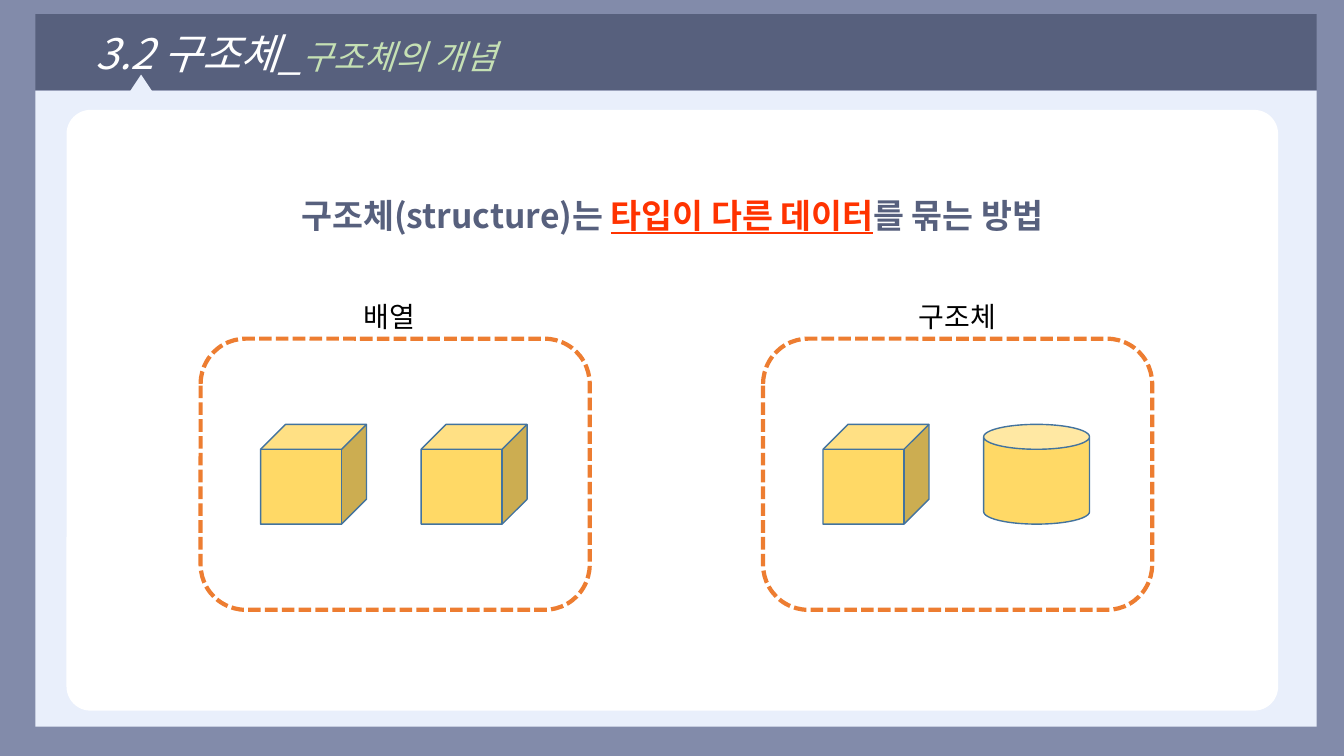
from lxml.etree import SubElement
from pptx import Presentation
from pptx.dml.color import RGBColor
from pptx.enum.dml import MSO_LINE
from pptx.enum.shapes import MSO_SHAPE as Shape
from pptx.enum.text import MSO_ANCHOR as Anchor, MSO_AUTO_SIZE as AutoSize, PP_ALIGN as Align
from pptx.oxml.ns import qn
from pptx.util import Inches, Pt

COLOURS = {
    "backdrop": "828BAA", "page": "E9EFFB", "card": "FFFFFF", "bar": "57607D",
    "subtitle": "C5E0B4", "accent": "FF3300", "ink": "000000",
    "solid": "FFD966", "edge": "43739E", "dash": "ED7D31",
}
FONT = "Noto Sans CJK KR"


def colour(name):
    return RGBColor.from_string(COLOURS[name])


def write(paragraph, text, size=20, ink="ink", bold=False, italic=False, underline=False):
    run = paragraph.add_run()
    run.text = text
    font = run.font
    font.name, font.size = FONT, Pt(size)
    font.bold, font.italic, font.underline = bold, italic, underline
    font.color.rgb = colour(ink)
    SubElement(run._r.get_or_add_rPr(), qn("a:ea")).set("typeface", FONT)


class Board:
    """Holds the slide; every place is left, top, width, height in percent of it."""

    def __init__(self, deck):
        self.width, self.height = deck.slide_width, deck.slide_height
        self.slide = deck.slides.add_slide(deck.slide_layouts[5])
        backdrop = self.slide.background.fill
        backdrop.solid()
        backdrop.fore_color.rgb = colour("backdrop")

    def scale(self, place):
        left, top, width, height = place
        return (int(left * self.width / 100), int(top * self.height / 100),
                int(width * self.width / 100), int(height * self.height / 100))

    def group(self):
        return self.slide.shapes.add_group_shape()

    def shape(self, kind, place, fill=None, line=None, weight=1, dash=None,
              corner=None, group=None):
        shapes = (group or self.slide).shapes
        figure = shapes.add_shape(kind, *self.scale(place))
        figure.shadow.inherit = False
        if corner is not None:
            figure.adjustments[0] = corner
        if fill:
            figure.fill.solid()
            figure.fill.fore_color.rgb = colour(fill)
        else:
            figure.fill.background()
        if line:
            figure.line.color.rgb = colour(line)
            figure.line.width = Pt(weight)
            figure.line.dash_style = dash
        else:
            figure.line.fill.background()

    def title(self, place):
        bar = self.slide.shapes.title
        bar.left, bar.top, bar.width, bar.height = self.scale(place)
        bar.fill.solid()
        bar.fill.fore_color.rgb = colour("bar")
        frame = bar.text_frame
        frame.auto_size = AutoSize.NONE
        frame.vertical_anchor = Anchor.MIDDLE
        frame.margin_left = Inches(0.6)
        frame.paragraphs[0].alignment = Align.LEFT
        return frame.paragraphs[0]

    def text(self, place, align=Align.LEFT, spacing=None, group=None):
        shapes = (group or self.slide).shapes
        frame = shapes.add_textbox(*self.scale(place)).text_frame
        frame.word_wrap = True
        frame.margin_right = 0 if align == Align.LEFT else Inches(0.1)
        paragraph = frame.paragraphs[0]
        paragraph.alignment = align
        if spacing:
            paragraph.line_spacing = spacing
        return paragraph


def main():
    deck = Presentation()
    deck.slide_width, deck.slide_height = Inches(13.33), Inches(7.5)
    board = Board(deck)

    # Page, card and title bar
    board.shape(Shape.RECTANGLE, (2.63, 12, 95.33, 84.13), fill="page")
    board.shape(Shape.ROUNDED_RECTANGLE, (4.95, 14.53, 90.15, 79.47), fill="card", corner=0.04)
    heading = board.title((2.63, 1.87, 95.33, 10.1))
    write(heading, "3.2 구조체_", size=30, ink="card", italic=True)
    write(heading, "구조체의 개념", size=24, ink="subtitle", italic=True)
    board.shape(Shape.ISOSCELES_TRIANGLE, (9.6, 9.87, 1.8, 2.4), fill="page")

    # Definition
    definition = board.text((4.95, 22.4, 90.15, 8.53), align=Align.CENTER, spacing=1.5)
    write(definition, "구조체(structure)는 ", size=24, ink="bar", bold=True)
    write(definition, "타입이 다른 데이터", size=24, ink="accent", bold=True, underline=True)
    write(definition, "를 묶는 방법", size=24, ink="bar", bold=True)

    # Array and structure: a dashed container with a label and two solids
    box_width, solid_width, solid_step = 28.95, 7.88, 11.95
    containers = [
        ("배열", 14.93, 6.15, (Shape.CUBE, Shape.CUBE)),
        ("구조체", 56.78, 7.28, (Shape.CUBE, Shape.CAN)),
    ]
    for name, left, label_width, solids in containers:
        container = board.group()
        board.shape(Shape.ROUNDED_RECTANGLE, (left, 44.8, box_width, 35.87), line="dash",
                    weight=3, dash=MSO_LINE.SQUARE_DOT, group=container)
        label_left = left + (box_width - label_width) / 2
        label = board.text((label_left, 38.93, label_width, 5.87), group=container)
        write(label, name)
        for index, solid in enumerate(solids):
            solid_left = left + 4.46 + index * solid_step
            board.shape(solid, (solid_left, 56.13, solid_width, 13.2), fill="solid",
                        line="edge", group=container)

    deck.save("out.pptx")


if __name__ == "__main__":
    main()
